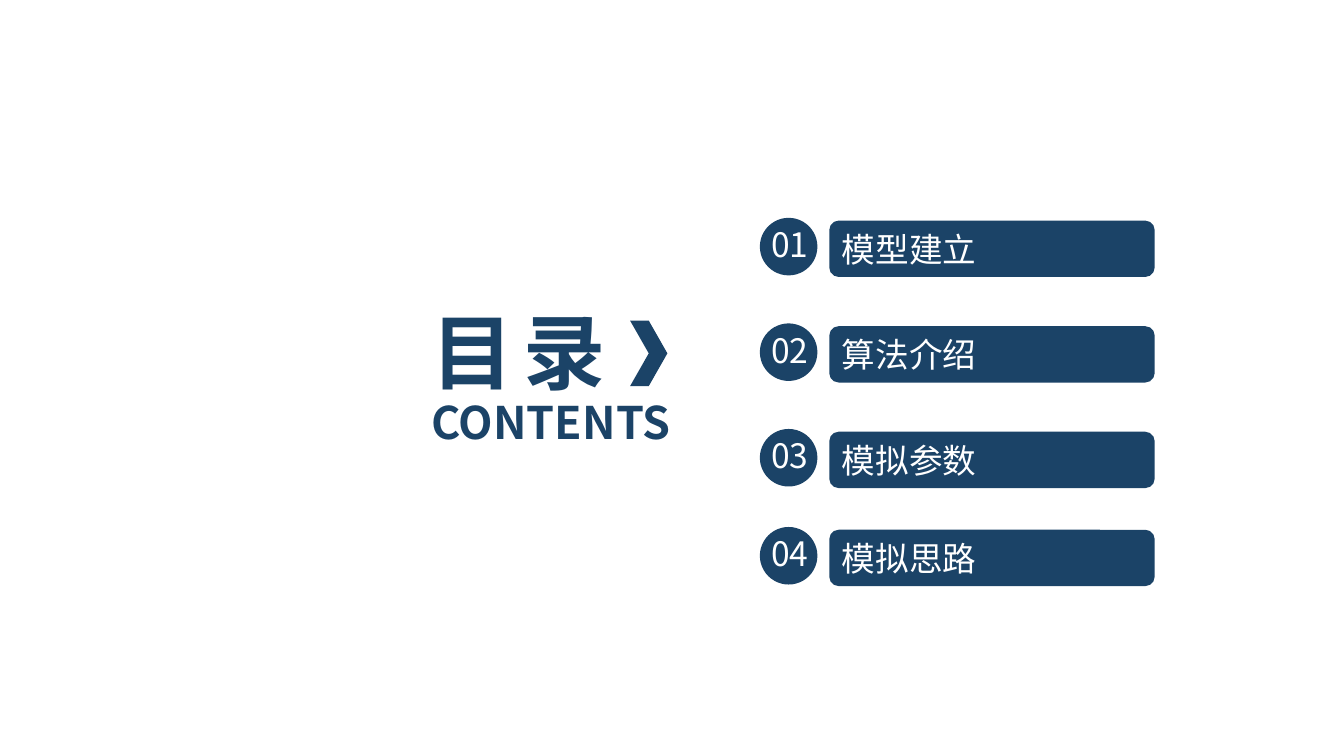
from pptx import Presentation
from pptx.dml.color import RGBColor
from pptx.enum import shapes, text
from pptx.util import Cm, Pt

NAVY, WHITE = "1B4367", "FFFFFF"
FONT = "Noto Sans CJK SC"
KIND = shapes.MSO_SHAPE
ALIGN = text.PP_ALIGN


def draw(home, kind, *box):
    """Add a navy preset shape; box is left, top, width, height in cm."""
    shape = home.add_shape(kind, *map(Cm, box))
    shape.shadow.inherit = False
    shape.fill.solid()
    shape.fill.fore_color.rgb = RGBColor.from_string(NAVY)
    shape.line.fill.background()
    return shape


def write(shape, words, size, color, align=ALIGN.LEFT, bold=False):
    """Put one vertically centred line of text in a shape and return its run."""
    frame = shape.text_frame
    frame.word_wrap = True
    frame.vertical_anchor = text.MSO_ANCHOR.MIDDLE
    para = frame.paragraphs[0]
    para.alignment = align
    run = para.add_run()
    run.text = words
    look = {"size": Pt(size), "bold": bold, "name": FONT}
    for key, value in look.items():
        setattr(run.font, key, value)
    run.font.color.rgb = RGBColor.from_string(color)
    props = run.font._element
    props.makeelement
    for tag in ("ea", "cs"):
        child = props.makeelement(
            "{http://schemas.openxmlformats.org/drawingml/2006/main}" + tag,
            {"typeface": FONT})
        props.append(child)
    return run


deck = Presentation()
deck.slide_width, deck.slide_height = Cm(33.87), Cm(19.05)
slide = deck.slides.add_slide(deck.slide_layouts[6])
items = slide.shapes

# Heading
title = items.add_textbox(Cm(10.62), Cm(7.44), Cm(7.95), Cm(2.77))
run = write(title, "目 录", 58.7, NAVY, bold=True)
run.font._element.set("spc", "-300")
label = items.add_textbox(Cm(10.62), Cm(9.8), Cm(7.82), Cm(1.63))
write(label, "CONTENTS", 32, NAVY, bold=True)
draw(items, KIND.CHEVRON, 15.88, 8.08, 0.94, 1.65)

# Numbered topics
topics = [("模型建立", 5.56), ("算法介绍", 8.22),
          ("模拟参数", 10.88), ("模拟思路", 13.35)]
for count, (topic, top) in enumerate(topics, 1):
    bar = draw(items, KIND.ROUNDED_RECTANGLE, 20.9, top, 8.2, 1.42)
    write(bar, topic, 24, WHITE)
    badge = items.add_group_shape().shapes
    draw(badge, KIND.OVAL, 19.15, top - 0.07, 1.45, 1.45)
    number = badge.add_textbox(Cm(19.02), Cm(top - 0.04), Cm(1.78), Cm(1.27))
    write(number, f"{count:02}", 24, WHITE, ALIGN.CENTER)

deck.save("out.pptx")
